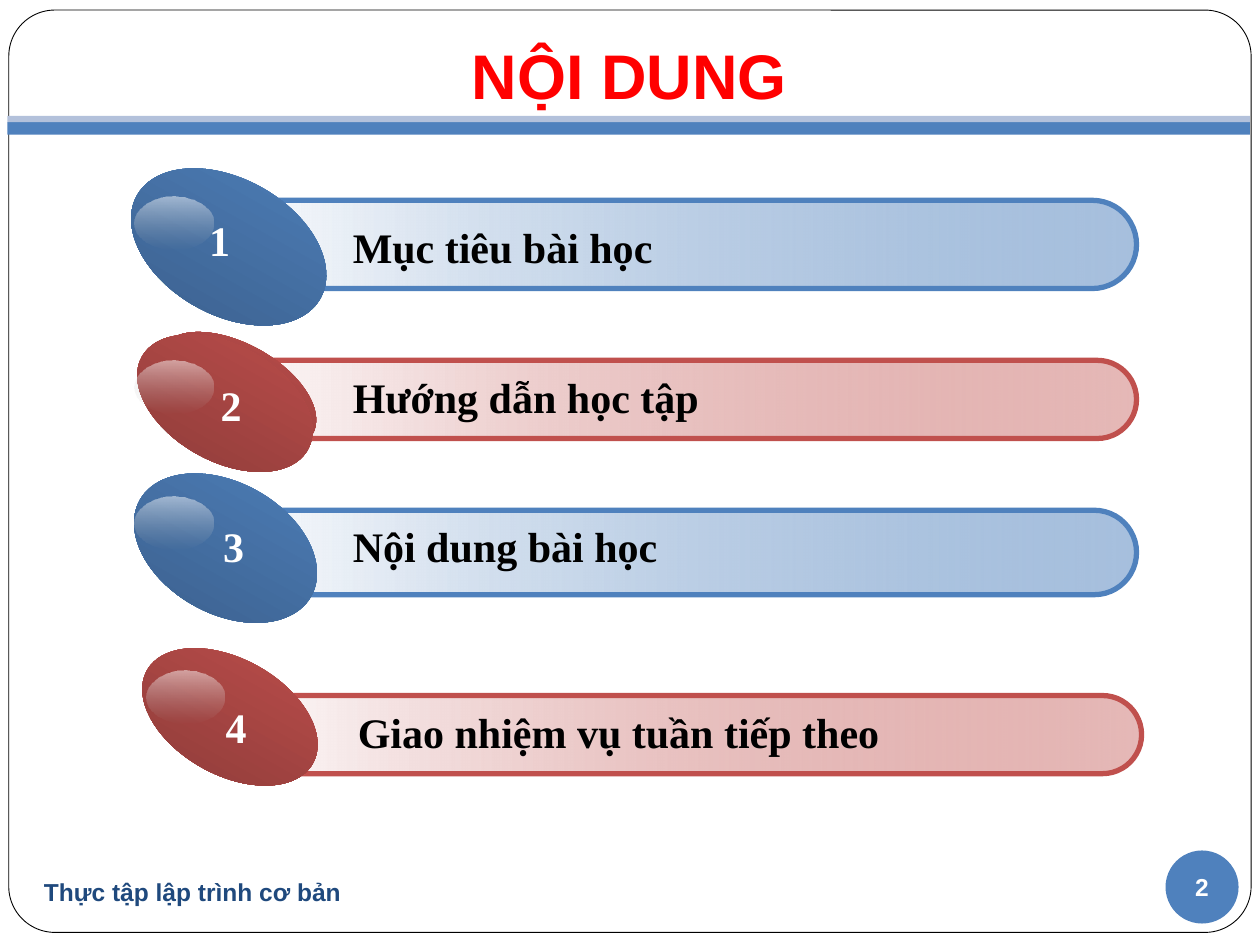
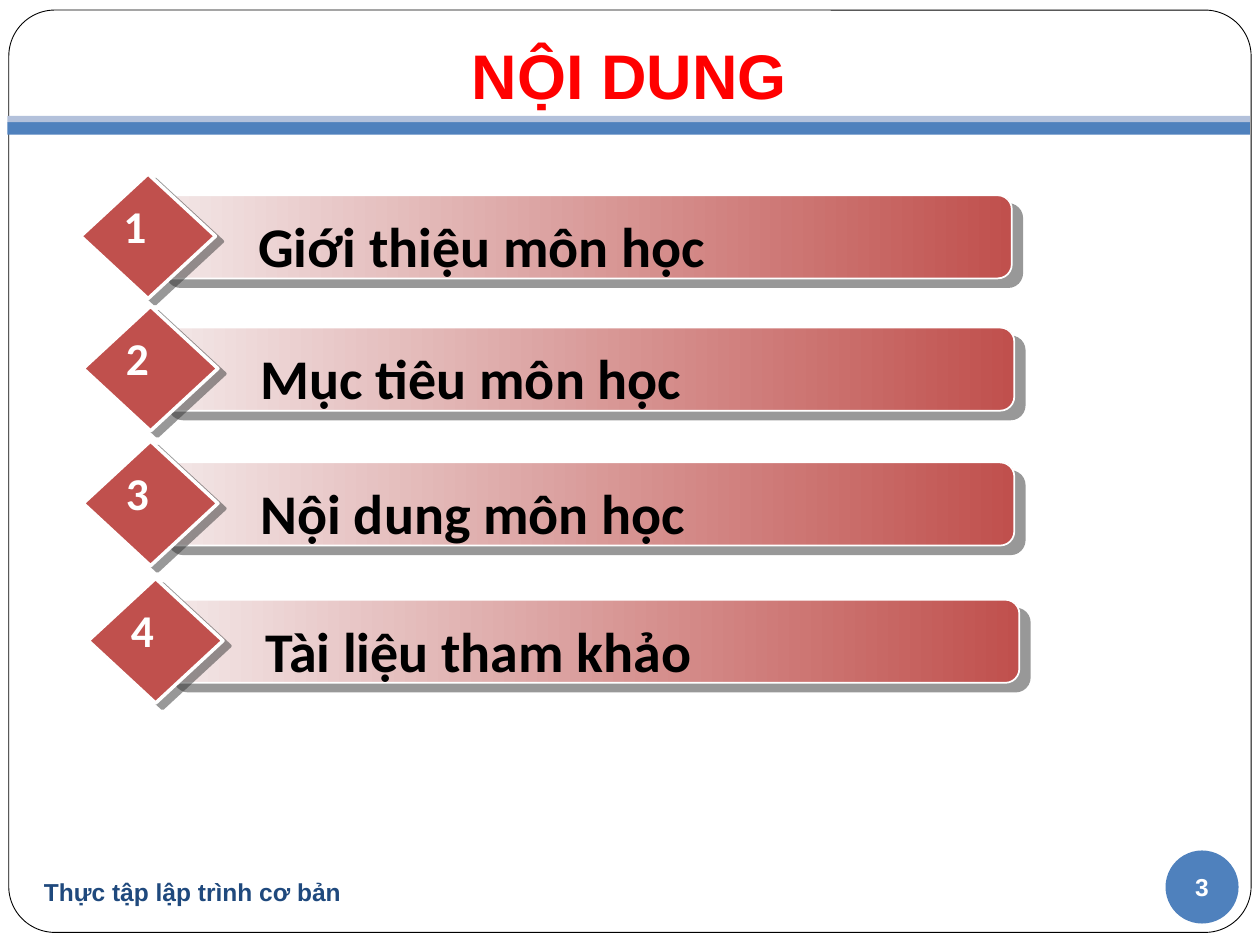
from typing import NamedTuple

from lxml.etree import SubElement
from pptx import Presentation
from pptx.dml.color import RGBColor
from pptx.enum.shapes import MSO_SHAPE
from pptx.enum.text import MSO_ANCHOR, MSO_AUTO_SIZE, PP_ALIGN
from pptx.oxml.ns import qn
from pptx.util import Inches, Pt


class Row(NamedTuple):
    label: str
    bar: tuple        # left, top, height
    badge: tuple      # left, top, width, height
    shine: tuple      # left, top
    number: tuple     # left, top
    label_top: float
    backing: tuple = None


TITLE = "NỘI DUNG"
FOOTER = "Thực tập lập trình cơ bản"
FIRST_PAGE = 2

LESSON_ROWS = [
    Row("Mục tiêu bài học", (1.73, 1.59, 0.7), (0.98, 1.42, 1.67, 1.08),
        (1.07, 1.56), (1.48, 1.65), 1.71),
    Row("Hướng dẫn học tập", (1.73, 2.86, 0.62), (1.03, 2.74, 1.51, 0.92),
        (1.07, 2.86), (1.57, 2.96), 2.9, (1.19, 2.73, 1.38, 0.75)),
    Row("Nội dung bài học", (1.73, 4.05, 0.67), (1.01, 3.83, 1.56, 1.04),
        (1.07, 3.94), (1.59, 4.08), 4.08),
    Row("Giao nhiệm vụ tuần tiếp theo", (1.77, 5.52, 0.62), (1.07, 5.23, 1.51, 0.92),
        (1.16, 5.32), (1.61, 5.52), 5.56),
]
COURSE_ROWS = [  # label, bar left, bar top
    ("Giới thiệu môn học", 1.24, 1.55),
    ("Mục tiêu môn học", 1.26, 2.6),
    ("Nội dung môn học", 1.26, 3.67),
    ("Tài liệu tham khảo", 1.3, 4.76),
]


class Theme:
    width, height = 10, 7.5
    white, black = "FFFFFF", "000000"
    blue, dark_blue, pale_blue, navy = "4F81BD", "395C87", "B3C1DB", "1F497D"
    red, dark_red, pale_red, title_red = "C0504D", "893937", "F3E8E8", "FF0000"
    gray, shadow = "B6B6B6", "333333"
    # font name, size
    title, footer = ("Arial", 36), ("Arial", 14)
    lesson = ("Times New Roman", 24)
    course, course_number = ("Calibri", 32), ("Calibri", 26)
    # main colour, dark end of the badge, opacity at the end of the bar
    lesson_tones = [(blue, dark_blue, 50), (red, dark_red, 40)]


def add_colour(parent, colour, opacity=100):
    node = SubElement(parent, qn("a:srgbClr"), val=colour)
    if opacity < 100:
        SubElement(node, qn("a:alpha"), val=str(opacity * 1000))


def set_gradient(shape, start, end, angle):
    """Fill from start to end, each a (colour, opacity) pair."""
    shape.fill.gradient()
    gradient = shape._element.spPr.find(qn("a:gradFill"))
    for child in list(gradient):
        gradient.remove(child)
    gradient.set("rotWithShape", "1")
    stops = SubElement(gradient, qn("a:gsLst"))
    for position, stop in (("0", start), ("100000", end)):
        add_colour(SubElement(stops, qn("a:gs"), pos=position), *stop)
    SubElement(gradient, qn("a:lin"), ang=str(angle * 60000), scaled="0")


def set_shadow(shape, distance, angle):
    effects = shape._element.spPr.find(qn("a:effectLst"))
    outer = SubElement(effects, qn("a:outerShdw"), blurRad="0",
                       dist=str(Pt(distance)), dir=str(angle * 60000),
                       algn="ctr", rotWithShape="0")
    add_colour(outer, Theme.shadow, 50)


def add_part(slide, kind, box, fill=None, line=None, corner=None):
    shape = slide.shapes.add_shape(kind, *map(Inches, box))
    shape.shadow.inherit = False
    if fill:
        shape.fill.solid()
        shape.fill.fore_color.rgb = RGBColor.from_string(fill)
    if line:
        colour, weight = line
        shape.line.color.rgb = RGBColor.from_string(colour)
        shape.line.width = Pt(weight)
    else:
        shape.line.fill.background()
    if corner is not None:
        shape.adjustments[0] = corner
    return shape


def write(shape, words, style, colour, align=PP_ALIGN.LEFT,
          anchor=MSO_ANCHOR.TOP, insets=(0.1, 0.05, 0.1, 0.05), wrap=True):
    frame = shape.text_frame
    frame.word_wrap = wrap
    frame.vertical_anchor = anchor
    (frame.margin_left, frame.margin_top,
     frame.margin_right, frame.margin_bottom) = map(Inches, insets)
    paragraph = frame.paragraphs[0]
    paragraph.text = words
    paragraph.alignment = align
    font = paragraph.font
    font.name, font.size, font.bold = style[0], Pt(style[1]), True
    font.color.rgb = RGBColor.from_string(colour)


def add_words(slide, box, words, style, colour, grow=True, **layout):
    textbox = slide.shapes.add_textbox(*map(Inches, box))
    write(textbox, words, style, colour, **layout)
    if grow:
        textbox.text_frame.auto_size = MSO_AUTO_SIZE.SHAPE_TO_FIT_TEXT


def add_base_slide(deck, page):
    """Add a slide with the frame, title, bands, footer and page number."""
    slide = deck.slides.add_slide(deck.slide_layouts[6])
    add_part(slide, MSO_SHAPE.ROUNDED_RECTANGLE, (0.07, 0.08, 9.86, 7.32),
             Theme.white, (Theme.black, 0.5), 0.05)
    add_part(slide, MSO_SHAPE.RECTANGLE, (0.06, 0.97, 9.86, 0.1), Theme.blue)
    add_part(slide, MSO_SHAPE.RECTANGLE, (0.06, 0.92, 9.86, 0.05), Theme.pale_blue)
    add_words(slide, (0.33, 0.07, 9.33, 0.92), TITLE, Theme.title, Theme.title_red,
              grow=False, align=PP_ALIGN.CENTER, anchor=MSO_ANCHOR.BOTTOM,
              insets=(0.1, 0.05, 0.1, 0.1))
    page_disc = add_part(slide, MSO_SHAPE.OVAL, (9.25, 6.75, 0.58, 0.58), Theme.blue)
    write(page_disc, str(page), Theme.footer, Theme.white, PP_ALIGN.CENTER,
          MSO_ANCHOR.MIDDLE, (0, 0, 0, 0), wrap=False)
    add_words(slide, (0.25, 6.83, 4.08, 0.5), FOOTER, Theme.footer, Theme.navy,
              grow=False, anchor=MSO_ANCHOR.MIDDLE)
    return slide


def add_lesson_row(slide, number, row):
    main, dark, opacity = Theme.lesson_tones[(number - 1) % 2]
    left, top, height = row.bar
    bar = add_part(slide, MSO_SHAPE.ROUNDED_RECTANGLE, (left, top, 7.29, height),
                   line=(main, 3), corner=0.5)
    set_gradient(bar, (Theme.white,), (main, opacity), 0)
    for box in filter(None, (row.backing, row.badge)):
        badge = add_part(slide, MSO_SHAPE.OVAL, box)
        badge.rotation = 29.3
        set_gradient(badge, (main,), (dark,), 90)
    shine = add_part(slide, MSO_SHAPE.OVAL, (*row.shine, 0.62, 0.42))
    set_gradient(shine, (Theme.white, 50), (Theme.gray, 0), 90)
    add_words(slide, (left + 0.72, row.label_top, 5.8, 0.5), row.label,
              Theme.lesson, Theme.black, insets=(0.35, 0.05, 0.1, 0.05))
    add_words(slide, (*row.number, 0.45, 0.5), str(number), Theme.lesson,
              Theme.white, insets=(0.18, 0.05, 0.1, 0.05), wrap=False)


def add_course_row(slide, number, label, left, top):
    bar = add_part(slide, MSO_SHAPE.ROUNDED_RECTANGLE, (left, top, 6.79, 0.66),
                   line=(Theme.white, 1), corner=0.17)
    set_gradient(bar, (Theme.pale_red,), (Theme.red,), 0)
    set_shadow(bar, 7.8, 40)
    diamond = add_part(slide, MSO_SHAPE.DIAMOND, (left - 0.6, top - 0.17, 1.07, 0.99),
                       Theme.red, (Theme.white, 2))
    set_shadow(diamond, 5, 37)
    add_words(slide, (left + 0.71, top + 0.08, 6.08, 0.64), label,
              Theme.course, Theme.black)
    add_words(slide, (left - 0.36, top - 0.03, 0.39, 0.54), str(number),
              Theme.course_number, Theme.white, wrap=False)


def main():
    deck = Presentation()
    deck.slide_width, deck.slide_height = Inches(Theme.width), Inches(Theme.height)

    lesson_slide = add_base_slide(deck, FIRST_PAGE)
    for number, row in enumerate(LESSON_ROWS, 1):
        add_lesson_row(lesson_slide, number, row)

    course_slide = add_base_slide(deck, FIRST_PAGE + 1)
    for number, row in enumerate(COURSE_ROWS, 1):
        add_course_row(course_slide, number, *row)

    deck.save("out.pptx")


if __name__ == "__main__":
    main()
